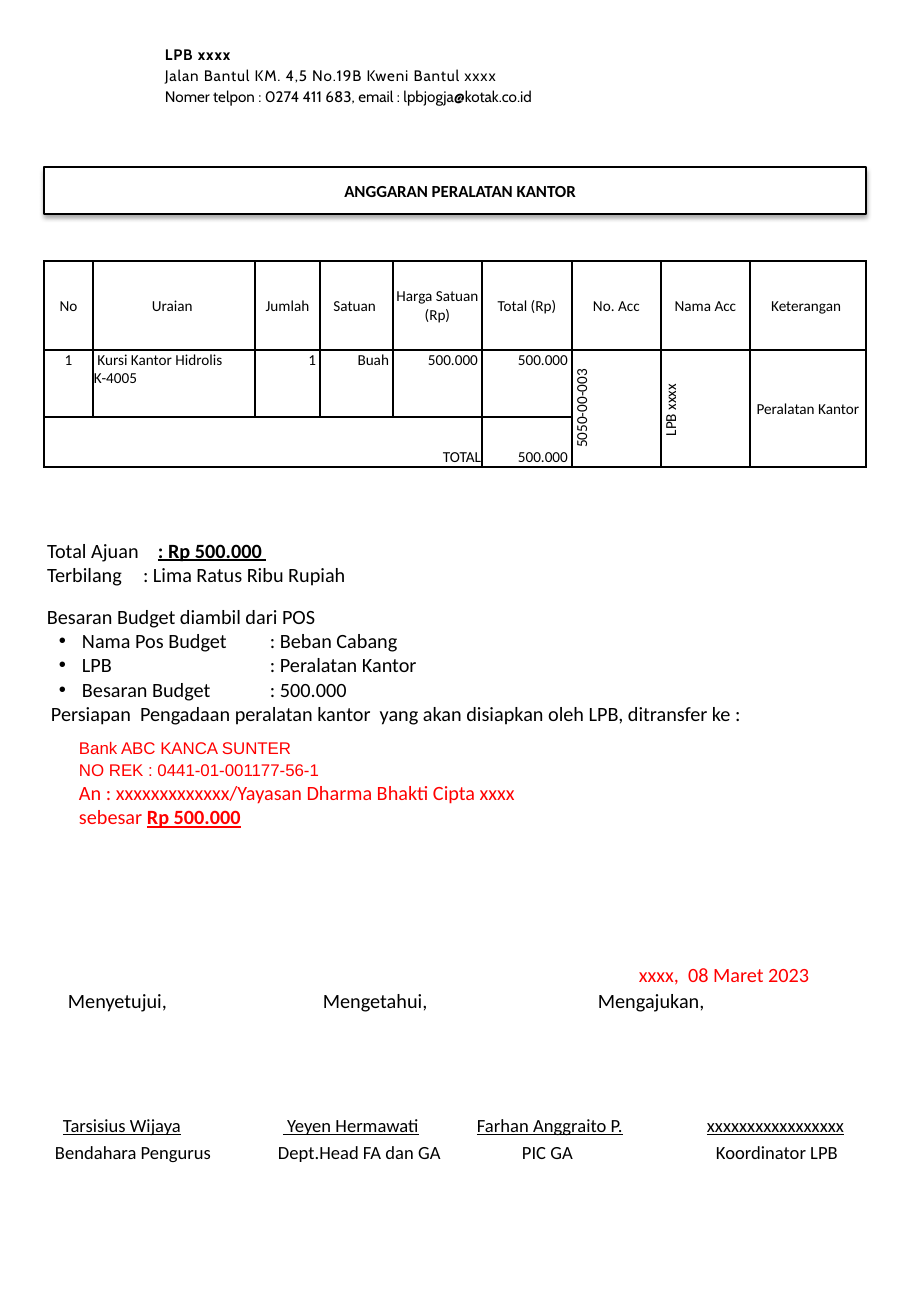
from lxml.etree import SubElement
from pptx import Presentation
from pptx.dml.color import RGBColor
from pptx.enum.shapes import MSO_SHAPE
from pptx.enum.text import MSO_ANCHOR, PP_ALIGN
from pptx.oxml import parse_xml
from pptx.oxml.ns import qn
from pptx.util import Emu, Pt

SCALE = 914400 / 121.5
COLORS = {"ink": "000000", "red": "FF0000", "paper": "FFFFFF"}
NAMESPACE = 'xmlns:a="http://schemas.openxmlformats.org/drawingml/2006/main"'
LEFT, CENTER, RIGHT = PP_ALIGN.LEFT, PP_ALIGN.CENTER, PP_ALIGN.RIGHT
TOP, MIDDLE, BOTTOM = MSO_ANCHOR.TOP, MSO_ANCHOR.MIDDLE, MSO_ANCHOR.BOTTOM

deck = Presentation()
deck.slide_width, deck.slide_height = Emu(round(911 * SCALE)), Emu(round(1316 * SCALE))
page = deck.slides.add_slide(deck.slide_layouts[6])


def px(value):
    return Emu(round(value * SCALE))


def add_para(frame, *runs, size=12, font="Calibri", color="ink", align=LEFT,
             before=0, spacing=None, margin=0, bullet=False, tab=0):
    """Add one paragraph; each run is (text, marks): b bold, u underlined, w wide."""
    para = frame.paragraphs[0]
    if para.runs:
        para = frame.add_paragraph()
    para.alignment = align
    if before:
        para.space_before = px(before)
    if spacing:
        para.line_spacing = spacing
    properties = para._p.get_or_add_pPr()
    if margin:
        properties.set("marL", str(px(margin)))
    if bullet:
        properties.set("indent", str(px(-23)))
        SubElement(properties, qn("a:buFont"), typeface="Arial")
        SubElement(properties, qn("a:buChar"), char="•")
    if tab:
        tab_list = SubElement(properties, qn("a:tabLst"))
        SubElement(tab_list, qn("a:tab"), pos=str(px(tab)), algn="l")
    for text, marks in runs:
        span = para.add_run()
        span.text = text
        span.font.name = font
        span.font.size = Pt(size)
        span.font.bold = "b" in marks
        span.font.underline = "u" in marks
        span.font.color.rgb = RGBColor.from_string(COLORS[color])
        if "w" in marks:
            span._r.get_or_add_rPr().set("spc", "50")


def add_box(left, top, width, height):
    frame = page.shapes.add_textbox(px(left), px(top), px(width), px(height)).text_frame
    frame.word_wrap = True
    frame.margin_left = frame.margin_right = frame.margin_top = frame.margin_bottom = 0
    return frame


# Letterhead
letterhead = add_box(165, 43, 700, 70)
for text, marks in [
    ("LPB xxxx", "bw"),
    ("Jalan Bantul KM. 4,5 No.19B Kweni Bantul xxxx", "w"),
    ("Nomer telpon : 0274 411 683, email : lpbjogja@kotak.co.id", ""),
]:
    add_para(letterhead, (text, marks), size=9, font="Cabin", spacing=1.15)

# Title bar
title = page.shapes.add_shape(MSO_SHAPE.RECTANGLE, px(44), px(167), px(822), px(47))
title.shadow.inherit = False
title.fill.solid()
title.fill.fore_color.rgb = RGBColor.from_string(COLORS["paper"])
title.line.color.rgb = RGBColor.from_string(COLORS["ink"])
title.line.width = Pt(0.75)
effects = title._element.spPr.find(qn("a:effectLst"))
effects.append(parse_xml(
    f'<a:outerShdw {NAMESPACE} blurRad="{Pt(3.1)}" dist="{Pt(1.8)}" dir="5400000" rotWithShape="0">'
    f'<a:srgbClr val="{COLORS["ink"]}"><a:alpha val="35000"/></a:srgbClr></a:outerShdw>'))
frame = title.text_frame
frame.margin_left = px(10)
frame.margin_right = frame.margin_top = frame.margin_bottom = 0
frame.vertical_anchor = MIDDLE
add_para(frame, ("ANGGARAN PERALATAN KANTOR", "b"), size=10, align=CENTER)

# Budget table
column_widths = [49, 162, 65, 73, 89, 90, 89, 89, 116]
row_heights = [89, 67, 50]
headings = ["No", "Uraian ", "Jumlah", "Satuan ", "Harga Satuan (Rp)", "Total (Rp)",
            "No. Acc", "Nama Acc", "Keterangan "]
entries = [(0, column, text, CENTER, MIDDLE) for column, text in enumerate(headings)]
entries += [
    (1, 0, "1", CENTER, TOP),
    (1, 1, " Kursi Kantor Hidrolis K-4005", LEFT, TOP),
    (1, 2, "1", RIGHT, TOP),
    (1, 3, "Buah", RIGHT, TOP),
    (1, 4, "500.000", RIGHT, TOP),
    (1, 5, "500.000", RIGHT, TOP),
    (1, 6, "5050-00-003", CENTER, MIDDLE),
    (1, 7, "LPB xxxx ", CENTER, MIDDLE),
    (1, 8, "Peralatan Kantor", CENTER, MIDDLE),
    (2, 0, "TOTAL", RIGHT, BOTTOM),
    (2, 5, "500.000", RIGHT, BOTTOM),
]
table = page.shapes.add_table(
    len(row_heights), len(column_widths), px(44), px(261),
    px(sum(column_widths)), px(sum(row_heights))).table
table.first_row = table.horz_banding = False
for column, width in zip(table.columns, column_widths):
    column.width = px(width)
for row, height in zip(table.rows, row_heights):
    row.height = px(height)
for cell in table.iter_cells():
    cell.fill.background()
    for index, side in enumerate(("lnL", "lnR", "lnT", "lnB")):
        cell._tc.get_or_add_tcPr().insert(index, parse_xml(
            f'<a:{side} {NAMESPACE} w="{Pt(1)}"><a:solidFill>'
            f'<a:srgbClr val="{COLORS["ink"]}"/></a:solidFill></a:{side}>'))
for column in (6, 7, 8):
    table.cell(1, column).merge(table.cell(2, column))
table.cell(2, 0).merge(table.cell(2, 4))
for row, column, text, align, anchor in entries:
    cell = table.cell(row, column)
    cell.margin_left = cell.margin_top = px(1)
    cell.margin_right = px(4 if align == RIGHT and text != "TOTAL" else 1)
    cell.margin_bottom = 0
    cell.vertical_anchor = anchor
    if row == 1 and column in (6, 7):
        cell._tc.get_or_add_tcPr().set("vert", "vert270")
    add_para(cell.text_frame, (text, ""), size=9, align=align)

# Requested amount
amount = add_box(47, 538, 520, 50)
add_para(amount, ("Total Ajuan\t", ""), (": Rp 500.000 ", "bu"), tab=111)
add_para(amount, ("Terbilang\t: Lima Ratus Ribu Rupiah", ""), tab=96)

# Budget source and transfer account
budget = add_box(47, 604, 820, 226)
add_para(budget, ("Besaran Budget diambil dari POS", ""))
for label, value in [("Nama Pos Budget", "Beban Cabang"), ("LPB", "Peralatan Kantor"),
                     ("Besaran Budget", "500.000")]:
    add_para(budget, (f"{label}\t: {value}", ""), margin=35, bullet=True, tab=223)
add_para(budget, ("Persiapan  Pengadaan peralatan kantor  yang akan disiapkan oleh LPB, "
                  "ditransfer ke :", ""), margin=4)
account = {"color": "red", "margin": 32}
add_para(budget, ("Bank ABC KANCA SUNTER", ""), size=10, font="Arial", before=12, **account)
add_para(budget, ("NO REK : 0441-01-001177-56-1", ""), size=10, font="Arial", before=2, **account)
add_para(budget, ("An : xxxxxxxxxxxxx/Yayasan Dharma Bhakti Cipta xxxx", ""), **account)
add_para(budget, ("sebesar ", ""), ("Rp 500.000", "bu"), **account)

# Signatures
signature_rows = [
    (962, {639: "xxxx,  08 Maret 2023"}, "", {"color": "red"}),
    (988, {68: "Menyetujui,", 323: "Mengetahui,", 598: "Mengajukan,"}, "", {}),
    (1114, {63: "Tarsisius Wijaya", 283: " Yeyen Hermawati", 477: "Farhan Anggraito P.",
            707: "xxxxxxxxxxxxxxxxx"}, "u", {"size": 11}),
    (1141, {55: "Bendahara Pengurus", 278: "Dept.Head FA dan GA", 522: "PIC GA",
            716: "Koordinator LPB"}, "", {"size": 11}),
]
for top, texts, marks, style in signature_rows:
    for left, text in texts.items():
        add_para(add_box(left, top, 190, 25), (text, marks), **style)

deck.save("out.pptx")
